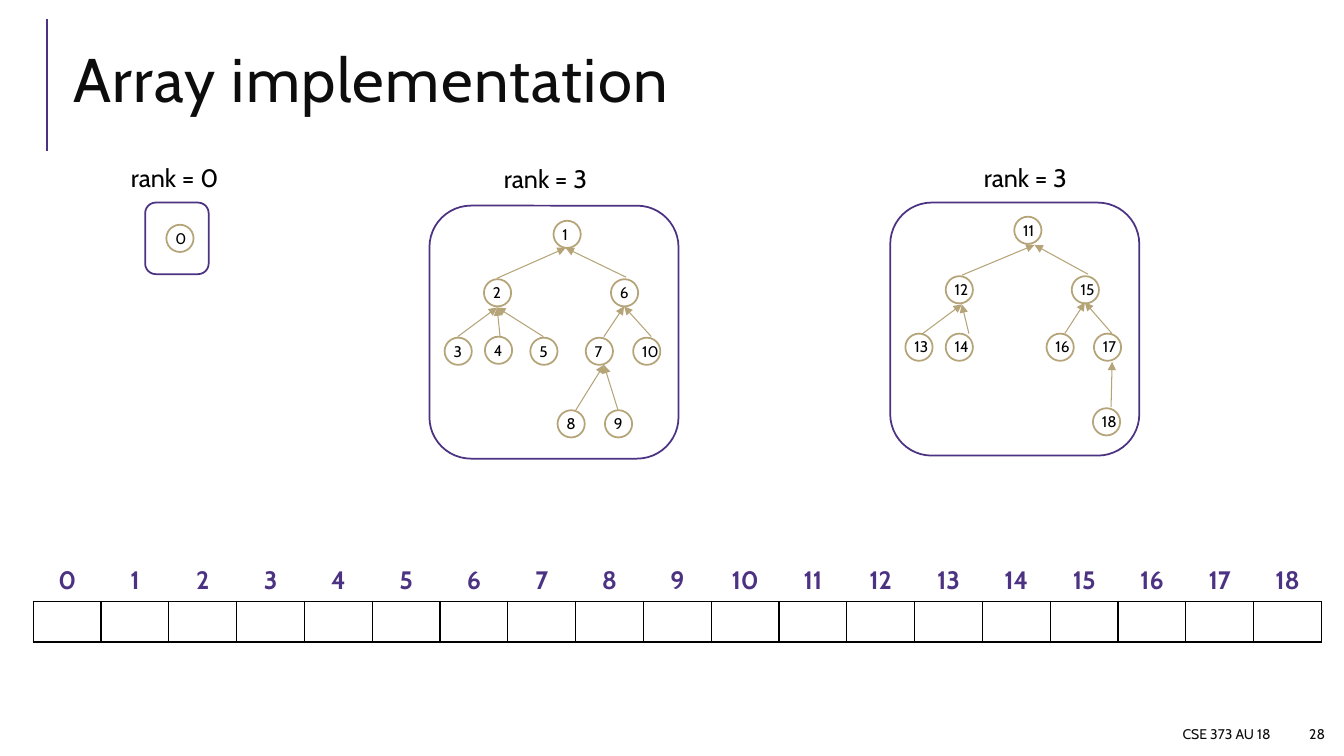
from pptx import Presentation
from pptx.dml.color import RGBColor
from pptx.enum.shapes import MSO_CONNECTOR, MSO_SHAPE
from pptx.enum.text import MSO_ANCHOR, MSO_AUTO_SIZE, PP_ALIGN
from pptx.oxml import parse_xml
from pptx.oxml.ns import nsdecls
from pptx.util import Inches, Pt

PURPLE = RGBColor(0x4C, 0x32, 0x82)
GOLD = RGBColor(0xB6, 0xA4, 0x79)
BLACK = RGBColor(0, 0, 0)
INK = RGBColor(0x0D, 0x0D, 0x0D)
WHITE = RGBColor(0xFF, 0xFF, 0xFF)
LEFT, RIGHT, CENTER = PP_ALIGN.LEFT, PP_ALIGN.RIGHT, PP_ALIGN.CENTER
TOP, MIDDLE = MSO_ANCHOR.TOP, MSO_ANCHOR.MIDDLE
FIT = MSO_AUTO_SIZE.SHAPE_TO_FIT_TEXT
OVAL, ROUND = MSO_SHAPE.OVAL, MSO_SHAPE.ROUNDED_RECTANGLE
STRAIGHT = MSO_CONNECTOR.STRAIGHT

FONT = "Cabin"
DOT = 0.27
SLOTS = 19

# Rank label (text, x, y) and frame (x, y, w, h) of each tree
FRAMES = [
    (("rank = 0", 1.2, 1.56), (1.44, 2.01, 0.63, 0.71)),
    (("rank = 3", 4.9, 1.57), (4.26, 2.04, 2.47, 2.51)),
    (("rank = 3", 9.66, 1.56), (8.83, 2.01, 2.47, 2.51)),
]

# Node: number, circle x, circle y, label width
NODES = [
    (0, 1.65, 2.23, 0.28),
    (1, 5.49, 2.19, 0.28),
    (2, 4.8, 2.77, 0.28),
    (3, 4.41, 3.35, 0.28),
    (4, 4.81, 3.34, 0.34),
    (5, 5.26, 3.35, 0.28),
    (6, 6.06, 2.77, 0.36),
    (7, 5.81, 3.35, 0.38),
    (8, 5.53, 4.07, 0.38),
    (9, 6, 4.07, 0.28),
    (10, 6.28, 3.35, 0.38),
    (11, 10.06, 2.15, 0.42),
    (12, 9.38, 2.74, 0.36),
    (13, 8.98, 3.31, 0.37),
    (14, 9.38, 3.31, 0.48),
    (15, 10.63, 2.74, 0.36),
    (16, 10.38, 3.31, 0.38),
    (17, 10.85, 3.31, 0.38),
    (18, 10.84, 4.05, 0.4),
]

# Point below a parent, then the points above its children
EDGES = [
    ((5.61, 2.46), [(4.93, 2.76), (6.21, 2.75)]),
    ((4.93, 3.05), [(4.54, 3.34), (4.96, 3.34), (5.39, 3.34)]),
    ((6.19, 3.04), [(5.99, 3.34), (6.46, 3.34)]),
    ((5.99, 3.62), [(5.71, 4.07), (6.13, 4.07)]),
    ((10.26, 2.43), [(9.54, 2.73), (10.79, 2.72)]),
    ((9.54, 3.02), [(9.15, 3.31), (9.61, 3.31)]),
    ((10.76, 3), [(10.56, 3.31), (11.03, 3.31)]),
    ((11.03, 3.59), [(11.02, 4.04)]),
]


class Board:
    def __init__(self, slide):
        self.slide = slide
        self.shapes = slide.shapes

    def style(self, par, size, color, align=LEFT, bold=False):
        par.alignment = align
        for run in par.runs:
            font = run.font
            font.name, font.size, font.bold = FONT, Pt(size), bold
            font.color.rgb = color

    def text(self, words, x, y, w, h, size, color=BLACK, align=LEFT,
             anchor=TOP, wrap=True, grow=False):
        box = self.shapes.add_textbox(*map(Inches, (x, y, w, h)))
        frame = box.text_frame
        frame.text = words
        frame.word_wrap = wrap
        frame.vertical_anchor = anchor
        if grow:
            frame.auto_size = FIT
        par = frame.paragraphs[0]
        self.style(par, size, color, align)
        return par

    def shape(self, kind, x, y, w, h, color, fill=None):
        item = self.shapes.add_shape(kind, *map(Inches, (x, y, w, h)))
        item.shadow.inherit = False
        if fill is None:
            item.fill.background()
        else:
            item.fill.solid()
            item.fill.fore_color.rgb = fill
        item.line.color.rgb = color
        item.line.width = Pt(1.25)

    def node(self, num, x, y, w):
        self.shape(OVAL, x, y, DOT, DOT, GOLD, WHITE)
        self.text(str(num), x - 0.01, y - 0.01, w, 0.29, 11, grow=True)

    def line(self, start, end, color, width, arrow=False):
        item = self.shapes.add_connector(
            STRAIGHT, *map(Inches, (*start, *end)))
        item.line.color.rgb = color
        item.line.width = Pt(width)
        if arrow:
            item.line._get_or_add_ln().append(parse_xml(
                f'<a:tailEnd {nsdecls("a")} type="triangle"/>'))
        item._element.spPr.append(
            parse_xml(f'<a:effectLst {nsdecls("a")}/>'))

    def cell(self, cell, edges):
        props = cell._tc.get_or_add_tcPr()
        for side, color in zip("LRTB", edges):
            props.append(parse_xml(
                f'<a:ln{side} {nsdecls("a")} w="{Pt(1)}"><a:solidFill>'
                f'<a:srgbClr val="{color}"/></a:solidFill></a:ln{side}>'))
        cell.fill.solid()
        cell.fill.fore_color.rgb = WHITE

    def array(self, count, x, y, w, h):
        table = self.shapes.add_table(
            2, count, *map(Inches, (x, y, w, h))).table
        table.first_row = table.horz_banding = False
        for col in table.columns:
            col.width = Inches(w / count)
        for i in range(count):
            head, slot = table.cell(0, i), table.cell(1, i)
            head.text_frame.text = str(i)
            self.style(head.text_frame.paragraphs[0], 18, PURPLE, CENTER, True)
            self.cell(head, (WHITE, WHITE, WHITE, BLACK))
            self.cell(slot, (BLACK,) * 4)


def main():
    deck = Presentation()
    deck.slide_width, deck.slide_height = Inches(13.33), Inches(7.5)
    board = Board(deck.slides.add_slide(deck.slide_layouts[6]))

    # Title and footer
    board.line((0.47, 1.5), (0.47, 0.19), PURPLE, 1.5)
    title = board.text("Array implementation", 0.63, 0.29, 12.23, 1.11,
                       44, INK, anchor=MIDDLE)
    title.line_spacing = 0.8
    title.runs[0]._r.get_or_add_rPr().set("spc", "100")
    board.text("CSE 373 AU 18", 6.25, 7.13, 6.45, 0.3, 10, INK, RIGHT, MIDDLE)
    board.text("28", 12.78, 7.13, 0.46, 0.3, 10, INK, RIGHT, MIDDLE)

    # Trees
    for (words, x, y), frame in FRAMES:
        board.text(words, x, y, 1.11, 0.4, 18, wrap=False, grow=True)
        board.shape(ROUND, *frame, PURPLE)
    for node in NODES:
        board.node(*node)
    for tip, starts in EDGES:
        for start in starts:
            board.line(start, tip, GOLD, 0.75, arrow=True)

    # Empty array with its indices
    board.array(SLOTS, 0.33, 5.56, 12.78, 0.81)

    deck.save("out.pptx")


if __name__ == "__main__":
    main()
